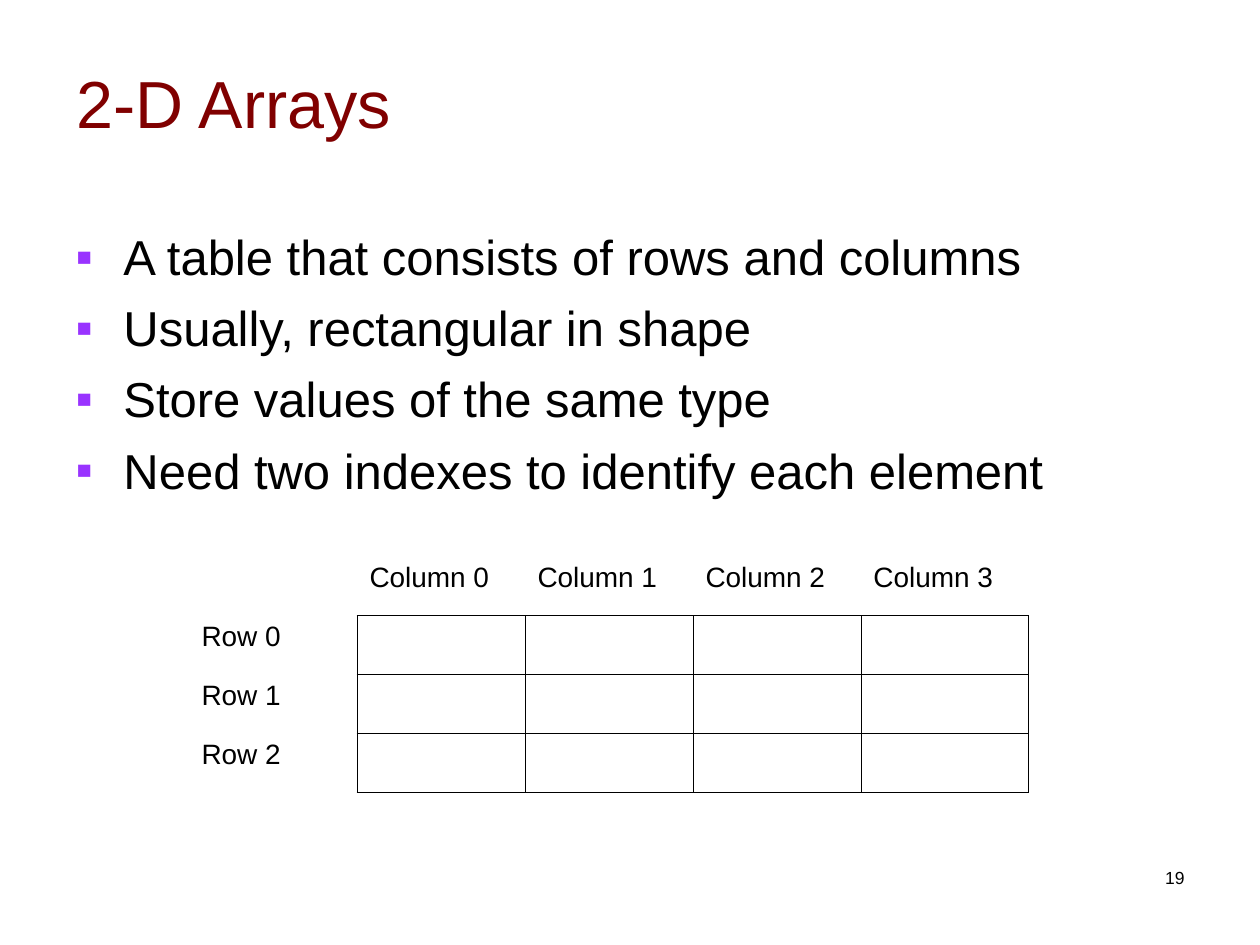
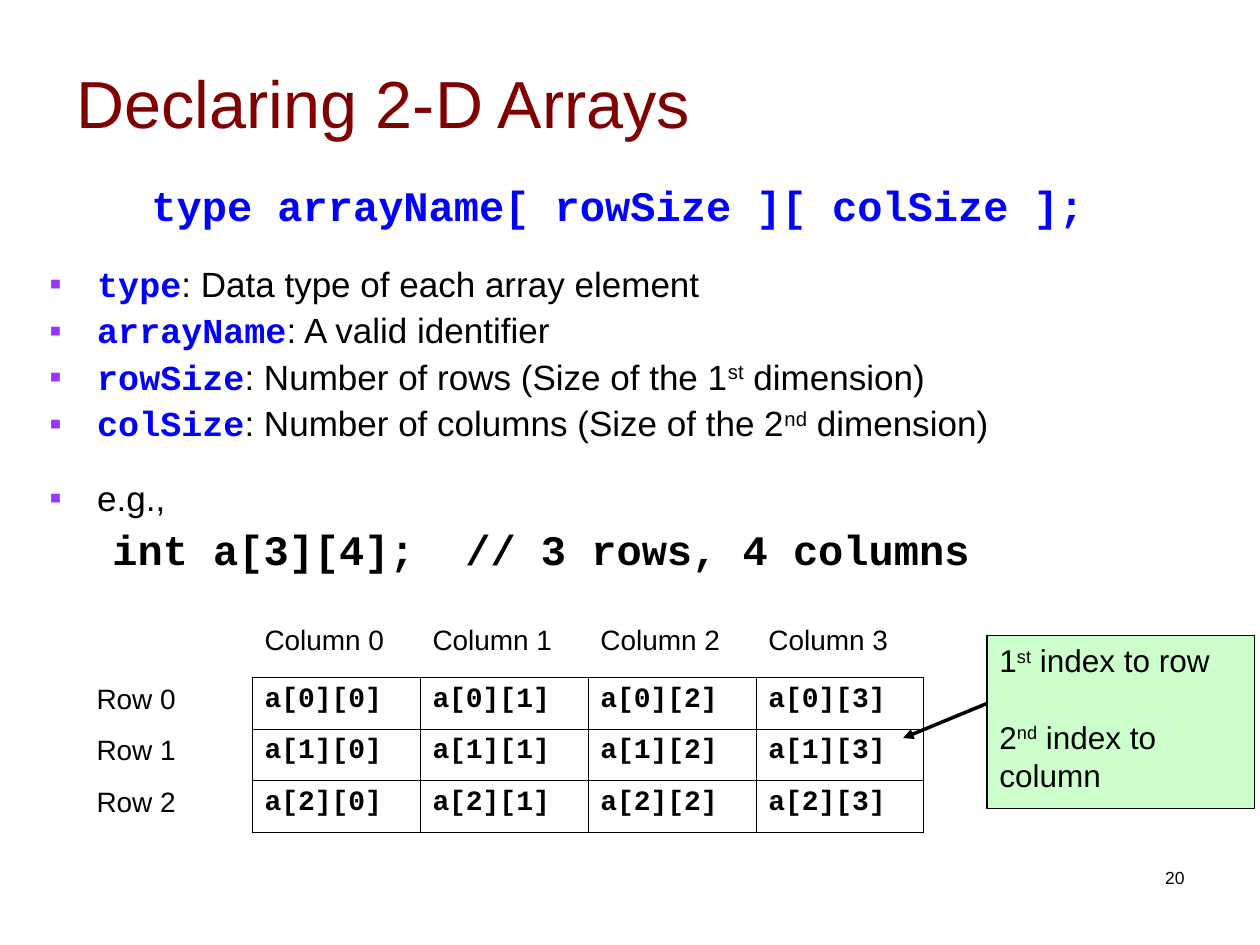
from dataclasses import dataclass, replace
from typing import Optional

from lxml.etree import SubElement
from pptx import Presentation
from pptx.dml.color import RGBColor
from pptx.enum.shapes import MSO_CONNECTOR, MSO_SHAPE
from pptx.enum.text import MSO_ANCHOR, MSO_AUTO_SIZE, PP_ALIGN
from pptx.oxml.ns import qn
from pptx.util import Inches, Pt

# Shared look
COLORS = {
    "title": "800000",
    "text": "000000",
    "keyword": "0000FF",
    "bullet": "9933FF",
    "callout": "CCFFCC",
}
SANS, MONO = "Arial", "Courier New"

# Page grid: 120 columns by 90 rows of square units
PAGE_WIDTH, PAGE_HEIGHT = Inches(10), Inches(7.5)
UNIT = PAGE_WIDTH / 120


def units(count: float) -> int:
    return round(count * UNIT)


@dataclass(frozen=True)
class Area:
    left: float
    top: float
    width: float
    height: float

    def lengths(self) -> tuple:
        return tuple(units(n) for n in (self.left, self.top, self.width, self.height))


@dataclass(frozen=True)
class Style:
    size: float
    font: str = SANS
    color: str = "text"
    bold: bool = False
    raised: bool = False


@dataclass(frozen=True)
class Span:
    text: str
    style: Style


@dataclass(frozen=True)
class Line:
    spans: tuple
    before: float = 0
    spacing: Optional[float] = None
    margin: float = 0  # inches
    indent: float = 0  # inches
    bullet: bool = False


@dataclass(frozen=True)
class ArrayGrid:
    left: float
    top: float
    header_height: float
    row_height: float
    name: str = ""


TITLE_AREA = Area(6.1, 2.2, 108, 15)
NUMBER_AREA = Area(86, 82, 28, 6)
TITLE = Style(38, color="title")
LABEL = Style(16)
CELL_CODE = Style(16, MONO, bold=True)
NUMBER = Style(10)
HANGING = 0.38
ROWS, COLUMNS, CELL_WIDTH = 3, 4, 16


# Text
def format_run(run, style: Style) -> None:
    run.font.size = Pt(style.size)
    run.font.name = style.font
    run.font.bold = style.bold
    run.font.color.rgb = RGBColor.from_string(COLORS[style.color])
    if style.raised:
        run._r.get_or_add_rPr().set("baseline", "30000")


def set_bullet(properties, shown: bool) -> None:
    if not shown:
        SubElement(properties, qn("a:buNone"))
        return
    color = SubElement(properties, qn("a:buClr"))
    SubElement(color, qn("a:srgbClr"), val=COLORS["bullet"])
    SubElement(properties, qn("a:buFont"), typeface=SANS)
    SubElement(properties, qn("a:buChar"), char="▪")


def write_lines(frame, lines: list, align=PP_ALIGN.LEFT) -> None:
    frame.word_wrap = True
    frame.auto_size = MSO_AUTO_SIZE.NONE
    for index, line in enumerate(lines):
        para = frame.add_paragraph() if index else frame.paragraphs[0]
        para.alignment = align
        para.space_before = Pt(line.before if index else 0)
        para.line_spacing = line.spacing
        properties = para._p.get_or_add_pPr()
        properties.set("marL", str(Inches(line.margin)))
        properties.set("indent", str(Inches(line.indent)))
        set_bullet(properties, line.bullet)
        for span in line.spans:
            run = para.add_run()
            run.text = span.text
            format_run(run, span.style)


def bullet_line(*spans: Span, before: float, spacing: Optional[float] = None) -> Line:
    return Line(spans, before, spacing, HANGING, -HANGING, True)


def with_ordinal(start: str, ending: str, rest: str, style: Style) -> tuple:
    return (Span(start, style), Span(ending, replace(style, raised=True)), Span(rest, style))


def place(box, area: Area) -> None:
    box.left, box.top, box.width, box.height = area.lengths()


def add_page(deck, title: str, number: int, body_area: Area, lines: list):
    page = deck.slides.add_slide(deck.slide_layouts[1])
    heading, body = page.shapes.title, page.placeholders[1]
    place(heading, TITLE_AREA)
    write_lines(heading.text_frame, [Line((Span(title, TITLE),))])
    heading.text_frame.vertical_anchor = MSO_ANCHOR.MIDDLE
    place(body, body_area)
    write_lines(body.text_frame, lines)
    footer = page.shapes.add_textbox(*NUMBER_AREA.lengths())
    write_lines(footer.text_frame, [Line((Span(str(number), NUMBER),))], PP_ALIGN.RIGHT)
    return page


# Table of the array, with row and column labels outside its ruled part
def set_borders(cell, drawn_sides: str) -> None:
    properties = cell._tc.get_or_add_tcPr()
    for side in "LRTB":
        border = SubElement(properties, qn(f"a:ln{side}"), w=str(Pt(0.45)))
        if side in drawn_sides:
            fill = SubElement(border, qn("a:solidFill"))
            SubElement(fill, qn("a:srgbClr"), val=COLORS["text"])
        else:
            SubElement(border, qn("a:noFill"))
    cell.fill.background()


def cell_content(row: int, column: int, name: str) -> tuple:
    """Text, style and ruled sides of one cell; row 0 and column 0 hold labels."""
    if row and column:
        code = f"{name}[{row - 1}][{column - 1}]" if name else ""
        return code, CELL_CODE, "LRTB"
    if column:
        return f"Column {column - 1}", LABEL, "B"
    if row:
        return f"Row {row - 1}", LABEL, "R"
    return "", LABEL, ""


def add_array_table(page, grid: ArrayGrid) -> None:
    area = Area(grid.left, grid.top, (COLUMNS + 1) * CELL_WIDTH,
                grid.header_height + ROWS * grid.row_height)
    table = page.shapes.add_table(ROWS + 1, COLUMNS + 1, *area.lengths()).table
    table.first_row = table.horz_banding = False
    for column in table.columns:
        column.width = units(CELL_WIDTH)
    for row_index, row in enumerate(table.rows):
        row.height = units(grid.row_height if row_index else grid.header_height)
        for column_index, cell in enumerate(row.cells):
            text, style, sides = cell_content(row_index, column_index, grid.name)
            set_borders(cell, sides)
            if text:
                cell.text_frame.text = text
                format_run(cell.text_frame.paragraphs[0].runs[0], style)


# Callout and its arrow
def add_arrow(page, start: tuple, end: tuple) -> None:
    points = [units(n) for n in (*start, *end)]
    arrow = page.shapes.add_connector(MSO_CONNECTOR.STRAIGHT, *points)
    arrow.line.width = Pt(2)
    arrow.line.color.rgb = RGBColor.from_string(COLORS["text"])
    SubElement(arrow.line._get_or_add_ln(), qn("a:tailEnd"), type="triangle")
    SubElement(arrow._element.spPr, qn("a:effectLst"))


def add_callout(page, area: Area, lines: list) -> None:
    box = page.shapes.add_shape(MSO_SHAPE.RECTANGLE, *area.lengths())
    box.shadow.inherit = False
    box.fill.solid()
    box.fill.fore_color.rgb = RGBColor.from_string(COLORS["callout"])
    box.line.color.rgb = RGBColor.from_string(COLORS["text"])
    box.line.width = Pt(0.75)
    box.text_frame.vertical_anchor = MSO_ANCHOR.TOP
    write_lines(box.text_frame, lines)


# Slides
def build_arrays_page(deck) -> None:
    points = (
        "A table that consists of rows and columns",
        "Usually, rectangular in shape",
        "Store values of the same type",
        "Need two indexes to identify each element",
    )
    lines = [bullet_line(Span(point, Style(28)), before=7) for point in points]
    page = add_page(deck, "2-D Arrays", 19, Area(6, 21, 108, 59.4), lines)
    add_array_table(page, ArrayGrid(18, 53, 5.62, 5.62))


def build_declaring_page(deck) -> None:
    plain = Style(20)
    keyword = Style(20, MONO, "keyword", True)
    syntax = replace(keyword, size=24)
    example = replace(syntax, color="text")
    tight, group_gap = 0.9, 21
    parts = (
        ("type", (Span(": Data type of each array element", plain),)),
        ("arrayName", (Span(": A valid identifier", plain),)),
        ("rowSize", with_ordinal(": Number of rows (Size of the 1", "st", " dimension)", plain)),
        ("colSize", with_ordinal(": Number of columns (Size of the 2", "nd", " dimension)", plain)),
    )
    lines = [
        Line((Span("type arrayName[ rowSize ][ colSize ];", syntax),), spacing=tight, margin=0.81),
        *(bullet_line(Span(word, keyword), *meaning, before=5 if index else group_gap,
                      spacing=tight)
          for index, (word, meaning) in enumerate(parts)),
        bullet_line(Span("e.g.,", plain), before=group_gap, spacing=tight),
        Line((Span("int a[3][4];  // 3 rows, 4 columns", example),), 6, tight, 0.81, -0.31),
    ]
    page = add_page(deck, "Declaring 2-D Arrays", 20, Area(3.5, 17, 116, 39), lines)
    add_array_table(page, ArrayGrid(8, 59, 5.55, 4.9, "a"))

    note = Style(18)
    add_arrow(page, (94, 67), (86, 70.3))
    add_callout(page, Area(94, 60.5, 25.5, 16.5), [
        Line(with_ordinal("1", "st", " index to row", note)),
        Line(with_ordinal("2", "nd", " index to column", note), before=22),
    ])


def main() -> None:
    deck = Presentation()
    deck.slide_width, deck.slide_height = PAGE_WIDTH, PAGE_HEIGHT
    build_arrays_page(deck)
    build_declaring_page(deck)
    deck.save("out.pptx")


if __name__ == "__main__":
    main()
